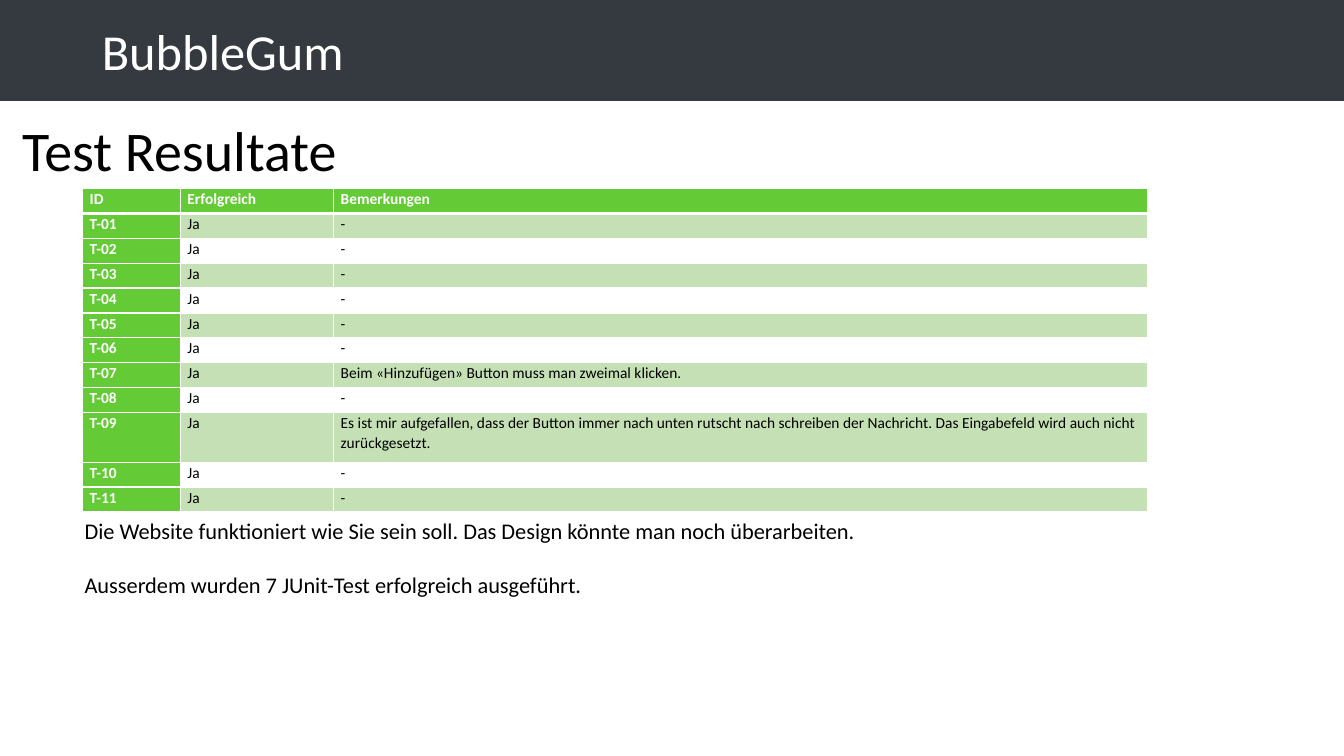
from lxml.etree import SubElement
from pptx import Presentation
from pptx.dml.color import RGBColor
from pptx.enum.shapes import MSO_SHAPE
from pptx.enum.text import MSO_ANCHOR, MSO_AUTO_SIZE, PP_ALIGN
from pptx.oxml.ns import qn
from pptx.util import Inches, Pt

WHITE, BLACK, DARK, GREEN, PALE = "FFFFFF", "000000", "343A40", "64CA35", "C5E0B4"
NOTES = {
    7: "Beim «Hinzufügen» Button muss man zweimal klicken.",
    9: "Es ist mir aufgefallen, dass der Button immer nach unten rutscht nach "
       "schreiben der Nachricht. Das Eingabefeld wird auch nicht zurückgesetzt.",
}
TESTS = [(f"T-{n:02}", "Ja", NOTES.get(n, "-")) for n in range(1, 12)]
ROWS = [("ID", "Erfolgreich", "Bemerkungen")] + TESTS
COLS = (0.97, 1.52, 8.07)
TALL = 9


def paint(part, color):
    """Give a fill, line fill or font the hex colour."""
    if hasattr(part, "solid"):
        part.solid()
        part.fore_color.rgb = RGBColor.from_string(color)
    else:
        part.color.rgb = RGBColor.from_string(color)


def style(item, values):
    """Set each attribute named in the dict."""
    for name, value in values.items():
        setattr(item, name, value)


def write(frame, lines, size, color=BLACK, bold=False, **form):
    """Fill a text frame with one paragraph per line."""
    for index, line in enumerate(lines):
        para = frame.add_paragraph() if index else frame.paragraphs[0]
        style(para, {"alignment": PP_ALIGN.LEFT, **form})
        if not index:
            para.space_before = Pt(0)
        run = para.add_run()
        run.text = line
        style(run.font, {"name": "Calibri", "size": Pt(size), "bold": bold})
        paint(run.font, color)


def banner(slide, box, title):
    """Draw the dark title bar."""
    bar = slide.shapes.add_shape(MSO_SHAPE.RECTANGLE, *map(Inches, box))
    bar.shadow.inherit = False
    paint(bar.fill, DARK)
    paint(bar.line, DARK)
    bar.line.width = Pt(1)
    style(bar.text_frame, {"margin_left": Inches(1.01), "vertical_anchor": MSO_ANCHOR.MIDDLE})
    write(bar.text_frame, [title], 36, WHITE)


def label(slide, box, lines, size, gap=0):
    """Place a wrapped text box."""
    frame = slide.shapes.add_textbox(*map(Inches, box)).text_frame
    style(frame, {"word_wrap": True, "auto_size": MSO_AUTO_SIZE.SHAPE_TO_FIT_TEXT})
    write(frame, lines, size, space_before=Pt(gap))


def edge(cell, widths):
    """Draw white cell borders of the given widths."""
    props = cell._tc.get_or_add_tcPr()
    for side, width in widths.items():
        line = SubElement(props, qn(f"a:ln{side}"), w=str(Pt(width)))
        fill = SubElement(line, qn("a:solidFill"))
        SubElement(fill, qn("a:srgbClr"), val=WHITE)


def results(slide, box):
    """Build the table of test results."""
    grid = slide.shapes.add_table(len(ROWS), len(COLS), *map(Inches, box)).table
    for col, width in zip(grid.columns, COLS):
        col.width = Inches(width)
    unit = box[3] / (len(ROWS) + 1)
    for r, texts in enumerate(ROWS):
        grid.rows[r].height = Inches(unit * (2 if r == TALL else 1))
        for c, text in enumerate(texts):
            cell = grid.cell(r, c)
            head = r == 0 or c == 0
            style(cell, {"margin_left": Inches(0.07), "margin_right": Inches(0.07),
                         "margin_top": 0, "margin_bottom": 0})
            edge(cell, {"L": 1, "R": 1, "T": 3 if r == 1 else 1, "B": 1 if r else 3})
            paint(cell.fill, GREEN if head else PALE if r % 2 else WHITE)
            write(cell.text_frame, [text], 11, WHITE if head else BLACK, head,
                  line_spacing=1.07)


def main():
    """Build and save the slide."""
    deck = Presentation()
    style(deck, {"slide_width": Inches(13.33), "slide_height": Inches(7.5)})
    slide = deck.slides.add_slide(deck.slide_layouts[6])
    banner(slide, (0, 0, 13.33, 1), "BubbleGum")
    label(slide, (0.12, 1.1, 5.02, 0.77), ["Test Resultate"], 40)
    results(slide, (0.82, 1.87, 10.56, 3.21))
    label(slide, (0.74, 5.08, 8.48, 0.91), [
        "Die Website funktioniert wie Sie sein soll. Das Design könnte man noch überarbeiten.",
        "Ausserdem wurden 7 JUnit-Test erfolgreich ausgeführt."], 16, 19.5)
    deck.save("out.pptx")


main()
